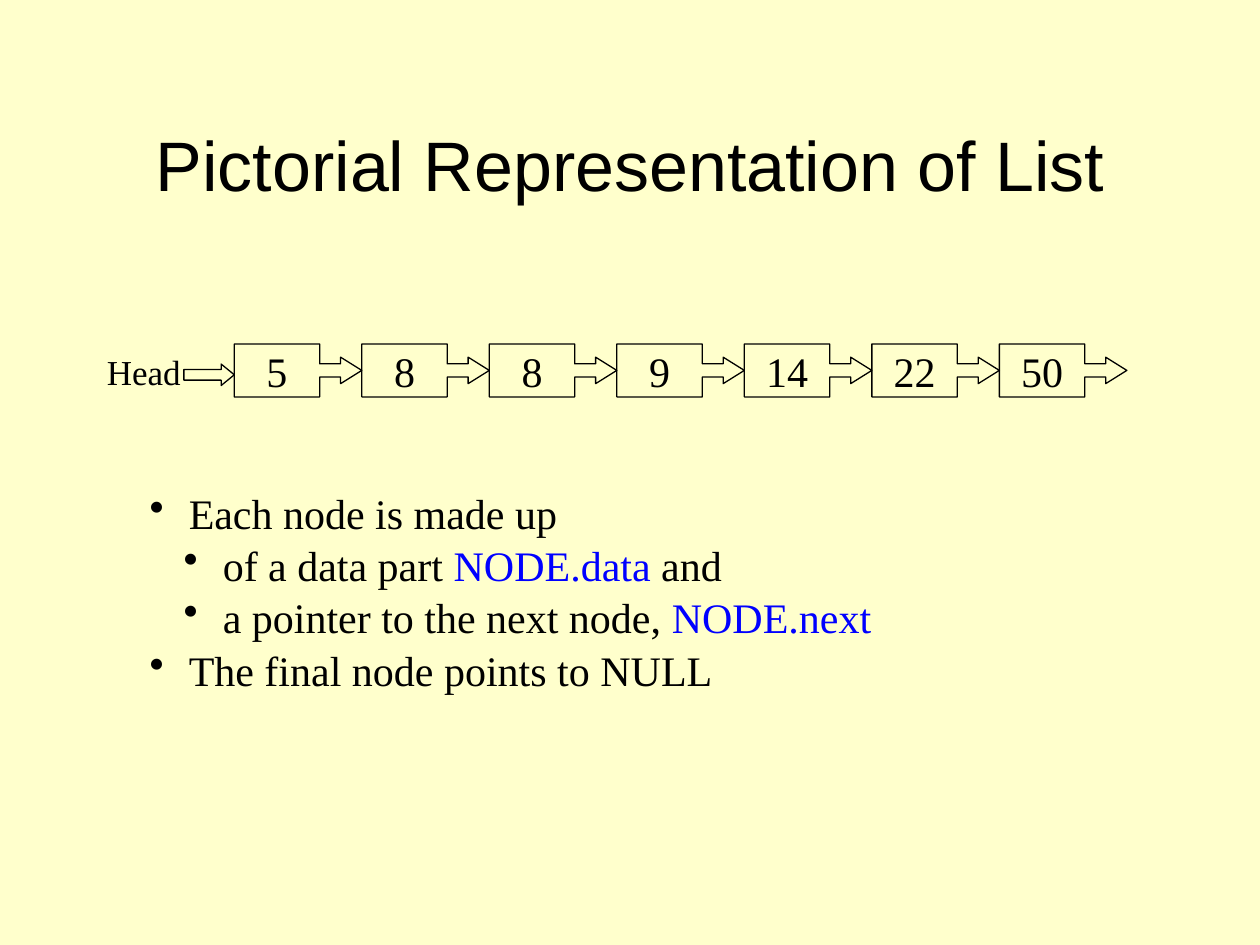
from dataclasses import dataclass

from lxml.etree import SubElement
from pptx import Presentation
from pptx.dml.color import RGBColor
from pptx.enum.shapes import MSO_SHAPE as Preset
from pptx.enum.text import MSO_ANCHOR as Anchor, PP_ALIGN as Align
from pptx.oxml.ns import qn
from pptx.util import Emu, Inches, Pt


@dataclass(frozen=True)
class Theme:
    background: RGBColor = RGBColor(0xFF, 0xFF, 0xCC)
    ink: RGBColor = RGBColor(0, 0, 0)
    code: RGBColor = RGBColor(0, 0, 0xFF)
    title_font: str = "Arial"
    body_font: str = "Times New Roman"
    title_size: int = 40
    body_size: int = 24
    label_size: int = 20
    outline: float = 0.75


@dataclass(frozen=True)
class Area:
    """A rectangle in percent of the slide's width and height."""
    left: float
    top: float
    width: float
    height: float

    def box(self) -> tuple[Emu, Emu, Emu, Emu]:
        return (Emu(int(WIDTH * self.left / 100)), Emu(int(HEIGHT * self.top / 100)),
                Emu(int(WIDTH * self.width / 100)), Emu(int(HEIGHT * self.height / 100)))


@dataclass(frozen=True)
class Point:
    """A bullet; every second phrase is a piece of code."""
    level: int
    phrases: tuple[str, ...]


THEME = Theme()
WIDTH, HEIGHT = Inches(10), Inches(7.5)
NODE_VALUES = (5, 8, 8, 9, 14, 22, 50)
FIRST_NODE = Area(18.6, 36.4, 10.12, 5.6)
NODE_ADJUSTMENTS = (0.25, 0.25, 0.4, 0.67)
HEAD_ADJUSTMENTS = (0.5, 0.61)
BULLET_GAP, LEVEL_INDENT = Inches(0.31), Inches(0.27)
POINTS = (
    Point(0, ("Each node is made up",)),
    Point(1, ("of a data part ", "NODE.data", " and")),
    Point(1, ("a pointer to the next node, ", "NODE.next")),
    Point(0, ("The final node points to NULL",)),
)


def style(paragraph, size: int, font: str = THEME.body_font) -> None:
    paragraph.font.name = font
    paragraph.font.size = Pt(size)
    paragraph.font.color.rgb = THEME.ink


def add_text(slide, area: Area, text: str, size: int, font: str = THEME.body_font):
    frame = slide.shapes.add_textbox(*area.box()).text_frame
    frame.word_wrap = True
    frame.text = text
    style(frame.paragraphs[0], size, font)
    return frame


def add_outline(slide, preset: Preset, area: Area, adjustments: tuple[float, ...]):
    shape = slide.shapes.add_shape(preset, *area.box())
    for index, value in enumerate(adjustments):
        shape.adjustments[index] = value
    shape.shadow.inherit = False
    shape.fill.background()
    shape.line.color.rgb = THEME.ink
    shape.line.width = Pt(THEME.outline)
    return shape


def add_node(slide, position: int, value: int) -> None:
    first = FIRST_NODE
    area = Area(first.left + position * first.width, first.top, first.width, first.height)
    node = add_outline(slide, Preset.RIGHT_ARROW_CALLOUT, area, NODE_ADJUSTMENTS)
    frame = node.text_frame
    frame.word_wrap = False
    frame.vertical_anchor = Anchor.MIDDLE
    frame.text = str(value)
    frame.paragraphs[0].alignment = Align.CENTER
    style(frame.paragraphs[0], THEME.body_size)


def add_bullet(paragraph, level: int) -> None:
    properties = paragraph._p.get_or_add_pPr()
    properties.set("marL", str(BULLET_GAP + level * LEVEL_INDENT))
    properties.set("indent", str(-BULLET_GAP))
    bullet = SubElement(properties, qn("a:buChar"))
    bullet.set("char", "•")


def add_points(slide, area: Area, points: tuple[Point, ...]) -> None:
    frame = slide.shapes.add_textbox(*area.box()).text_frame
    frame.word_wrap = True
    for index, point in enumerate(points):
        paragraph = frame.add_paragraph() if index else frame.paragraphs[0]
        paragraph.level = point.level
        paragraph.line_spacing = 1.04
        add_bullet(paragraph, point.level)
        style(paragraph, THEME.body_size)
        for phrase_index, phrase in enumerate(point.phrases):
            run = paragraph.add_run()
            run.text = phrase
            if phrase_index % 2:
                run.font.color.rgb = THEME.code


def main() -> None:
    deck = Presentation()
    deck.slide_width, deck.slide_height = WIDTH, HEIGHT
    slide = deck.slides.add_slide(deck.slide_layouts[6])
    slide.background.fill.solid()
    slide.background.fill.fore_color.rgb = THEME.background

    title = add_text(slide, Area(7.5, 8.93, 85, 16.67), "Pictorial Representation of List",
                     THEME.title_size, THEME.title_font)
    title.vertical_anchor = Anchor.MIDDLE
    title.paragraphs[0].alignment = Align.CENTER

    for position, value in enumerate(NODE_VALUES):
        add_node(slide, position, value)
    add_outline(slide, Preset.RIGHT_ARROW, Area(14.6, 38.53, 4, 2.27), HEAD_ADJUSTMENTS)
    add_text(slide, Area(7.5, 36.4, 8.4, 5.87), "Head", THEME.label_size)
    add_points(slide, Area(10.9, 50.67, 60.4, 22.67), POINTS)
    deck.save("out.pptx")


if __name__ == "__main__":
    main()
